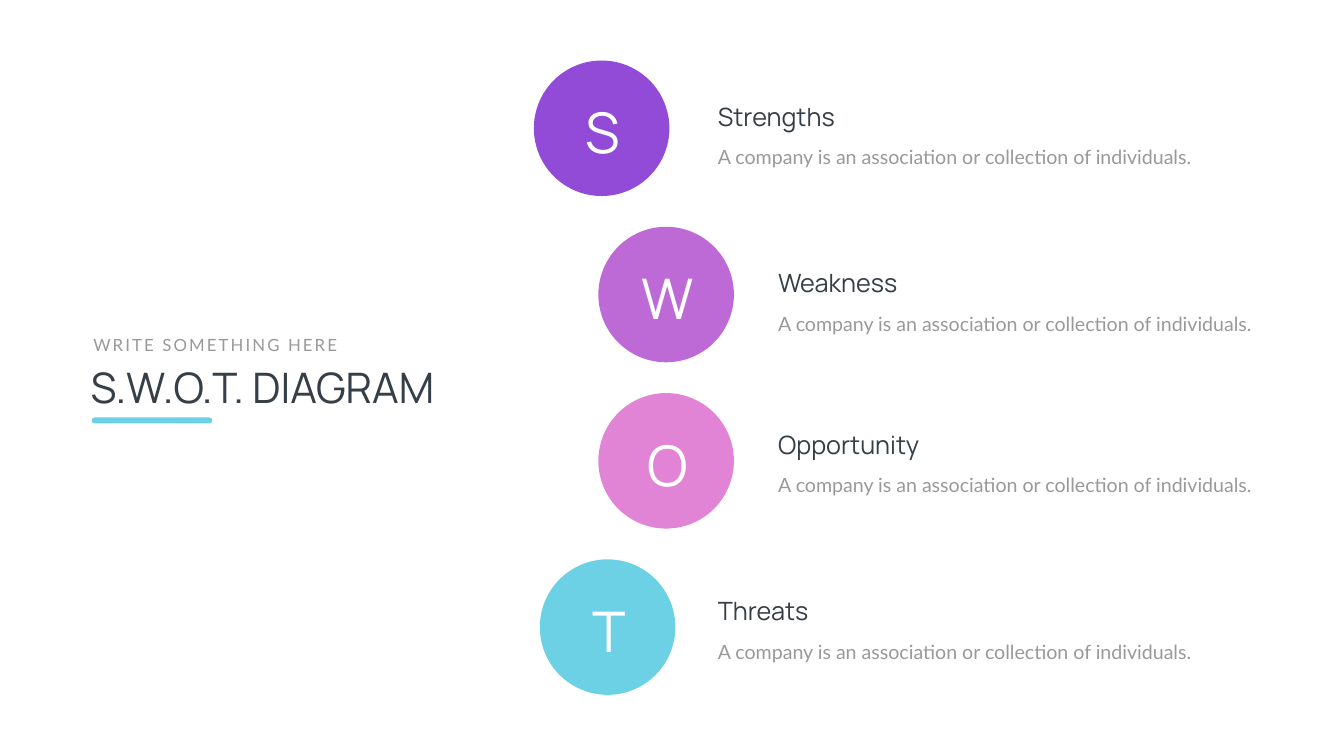
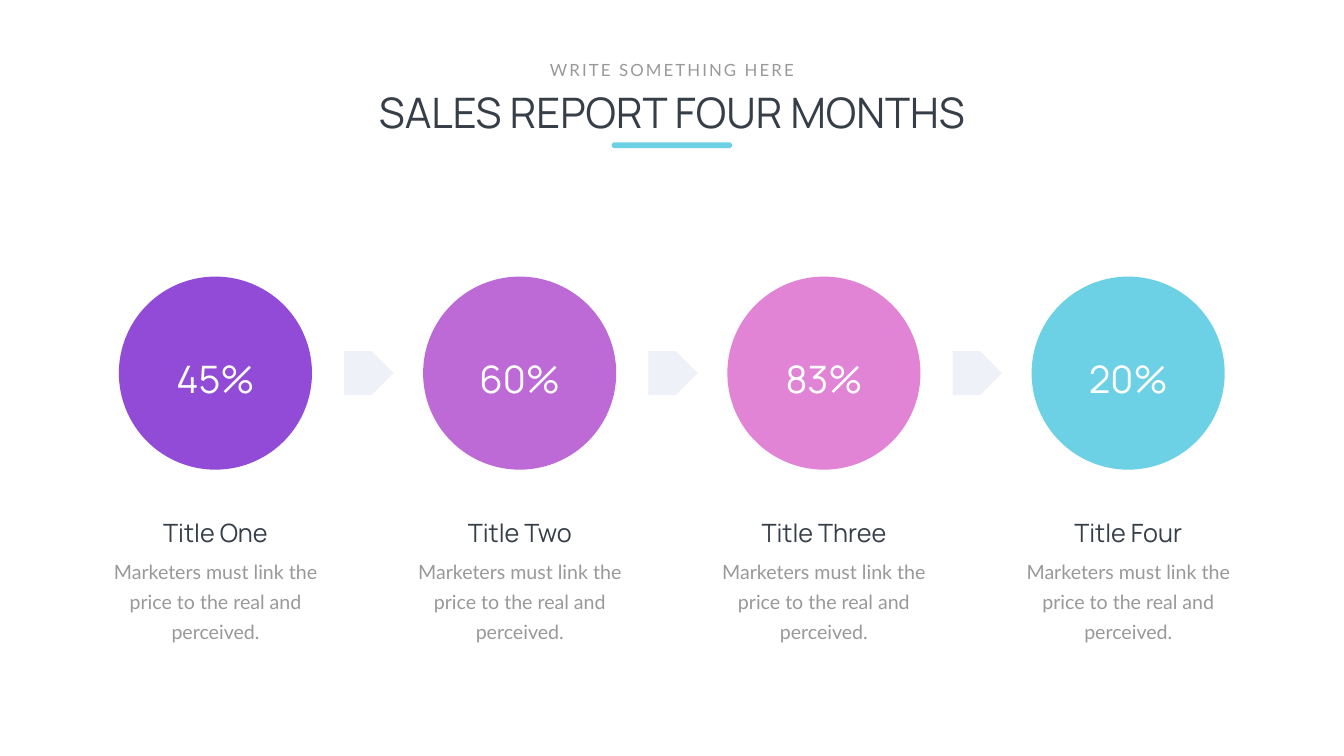
from collections import namedtuple

from pptx import Presentation
from pptx.dml.color import RGBColor
from pptx.enum.shapes import MSO_SHAPE
from pptx.enum.text import MSO_AUTO_SIZE, PP_ALIGN
from pptx.util import Cm, Pt

COLORS = {
    "ink": "363E48", "muted": "999999", "white": "FFFFFF", "arrow": "EFF1F8",
    "violet": "914BD7", "orchid": "BD6AD7", "pink": "E184D6", "aqua": "6CD1E5",
}
SEQUENCE = ("violet", "orchid", "pink", "aqua")

# Each style: font values and colour
STYLES = {
    "title": ({"name": "Manrope", "size": Pt(60)}, "ink"),
    "kicker": ({"name": "Lato", "size": Pt(24)}, "muted"),
    "heading": ({"name": "Manrope", "size": Pt(36)}, "ink"),
    "body": ({"name": "Lato", "size": Pt(28)}, "muted"),
    "letter": ({"name": "Manrope", "size": Pt(80)}, "white"),
    "percent": ({"name": "Manrope", "size": Pt(54)}, "white"),
}

# All box values are centimetres
Box = namedtuple("Box", "left top width height")
SLIDE = Box(0, 0, 67.72, 38.1)


def lengths(box):
    return [Cm(round(value, 2)) for value in box]


def color(key):
    return RGBColor.from_string(COLORS[key])


def add_text(slide, box, text, style, align=PP_ALIGN.LEFT, wrap=True,
             line_spacing=None, tracking=None):
    """Add one paragraph in a named style; tracking is in points."""
    frame = slide.shapes.add_textbox(*lengths(box)).text_frame
    frame.word_wrap = wrap
    frame.auto_size = MSO_AUTO_SIZE.SHAPE_TO_FIT_TEXT
    paragraph = frame.paragraphs[0]
    paragraph.alignment = align
    paragraph.line_spacing = line_spacing
    run = paragraph.add_run()
    run.text = text
    font_values, color_key = STYLES[style]
    for attribute, value in font_values.items():
        setattr(run.font, attribute, value)
    run.font.color.rgb = color(color_key)
    if tracking:
        run._r.get_or_add_rPr().set("spc", str(tracking * 100))


def add_filled(slide, preset, box, color_key):
    shape = slide.shapes.add_shape(preset, *lengths(box))
    shape.shadow.inherit = False
    shape.fill.solid()
    shape.fill.fore_color.rgb = color(color_key)
    shape.line.fill.background()
    return shape


def add_title_block(slide, box, title, align):
    """Kicker, title and accent bar, stacked from the top of the box."""
    kicker_width, bar_width = 13.06, 6.07
    if align == PP_ALIGN.CENTER:
        middle = box.left + box.width / 2
        kicker_left, bar_left = middle - kicker_width / 2, middle - bar_width / 2
    else:
        kicker_left, bar_left = box.left + 0.13, box.left + 0.3
    add_text(slide, Box(box.left, box.top + 1.37, box.width, 2.82), title,
             "title", align)
    add_text(slide, Box(kicker_left, box.top, kicker_width, 1.27),
             "WRITE SOMETHING HERE", "kicker", align, wrap=False, tracking=3)
    bar = add_filled(slide, MSO_SHAPE.ROUNDED_RECTANGLE,
                     Box(bar_left, box.top + 4.3, bar_width, 0.3), "aqua")
    bar.adjustments[0] = 0.5


def add_swot_entry(slide, circle, color_key, name, text_box):
    """Circle with the initial of the name, and the name and text beside it."""
    add_filled(slide, MSO_SHAPE.OVAL, circle, color_key)
    add_text(slide, Box(circle.left + 1.32, circle.top + 1.75, 4.34, 3.68),
             name[0], "letter", PP_ALIGN.CENTER)
    add_text(slide, Box(text_box.left, text_box.top + 1.63, 24.43, 1.8),
             "A company is an association or collection of individuals.",
             "body", line_spacing=1.5)
    add_text(slide, text_box, name, "heading", wrap=False)


def build_swot(slide):
    add_title_block(slide, Box(4.32, 16.74, 22.15, 4.6), "S.W.O.T. DIAGRAM",
                    PP_ALIGN.LEFT)
    first_top, pitch, diameter = 3.05, 8.38, 6.83
    # name, circle left, text left, text drop below circle top, name width
    entries = (
        ("Strengths", 26.9, 35.92, 1.93, 6.76),
        ("Weakness", 30.15, 38.96, 1.93, 7.16),
        ("Opportunity", 30.15, 38.96, 1.7, 8.28),
        ("Threats", 27.2, 35.92, 1.7, 5.77),
    )
    for row, (name, circle_left, text_left, drop, width) in enumerate(entries):
        top = first_top + row * pitch
        add_swot_entry(slide, Box(circle_left, top, diameter, diameter),
                       SEQUENCE[row], name,
                       Box(text_left, top + drop, width, 1.8))


def add_month(slide, circle, color_key, percent, heading, heading_width):
    """Circle with its percentage, and a heading and text centred below it."""
    middle = circle.left + circle.width / 2

    def centered(drop, width, height):
        return Box(middle - width / 2, circle.top + drop, width, height)

    add_filled(slide, MSO_SHAPE.OVAL, circle, color_key)
    add_text(slide, centered(3.86, 7.24, 2.57), percent, "percent",
             PP_ALIGN.CENTER)
    add_text(slide, centered(11.99, heading_width, 1.8), heading, "heading",
             PP_ALIGN.CENTER, wrap=False)
    add_text(slide, centered(13.82, 12.98, 3.15),
             "Marketers must link the price to the real and perceived.",
             "body", PP_ALIGN.CENTER, line_spacing=Pt(43))


def build_sales_report(slide):
    title_width = 40.8
    add_title_block(slide, Box((SLIDE.width - title_width) / 2, 2.87, title_width, 4.6),
                    "SALES REPORT FOUR MONTHS", PP_ALIGN.CENTER)
    first_left, top, pitch, diameter = 5.99, 13.94, 15.33, 9.73
    months = (
        ("45%", "Title One", 6.15),
        ("60%", "Title Two", 6.12),
        ("83%", "Title Three", 7.14),
        ("20%", "Title Four", 6.32),
    )
    for column, month in enumerate(months):
        left = first_left + column * pitch
        add_month(slide, Box(left, top, diameter, diameter), SEQUENCE[column], *month)
        if column < len(months) - 1:
            add_filled(slide, MSO_SHAPE.PENTAGON,
                       Box(left + 11.35, top + 3.76, 2.49, 2.21), "arrow")


def main():
    deck = Presentation()
    deck.slide_width, deck.slide_height = Cm(SLIDE.width), Cm(SLIDE.height)
    blank = deck.slide_layouts[6]
    for build in (build_swot, build_sales_report):
        slide = deck.slides.add_slide(blank)
        slide.background.fill.solid()
        slide.background.fill.fore_color.rgb = color("white")
        build(slide)
    deck.save("out.pptx")


if __name__ == "__main__":
    main()
